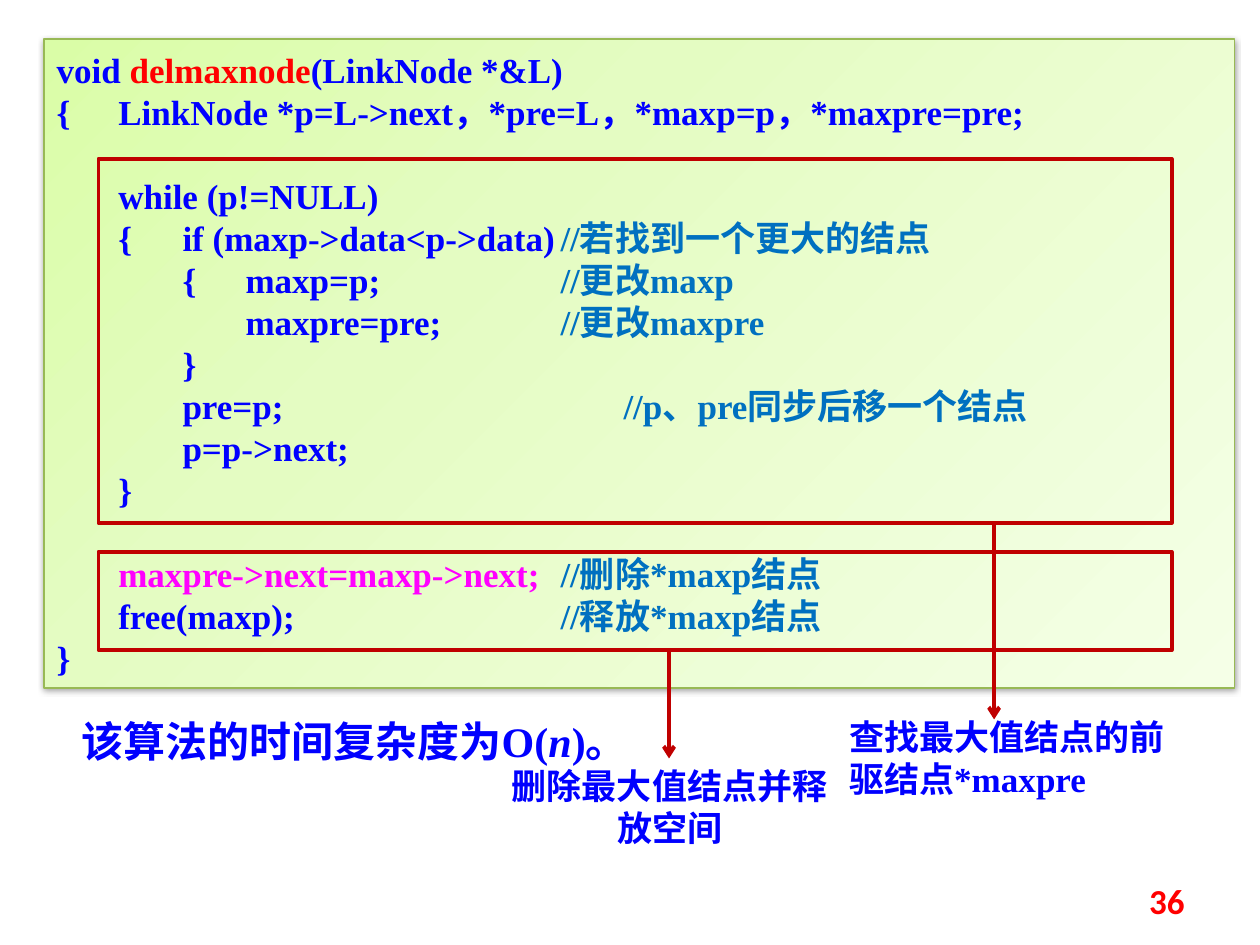
"""Build the slide that explains the delmaxnode linked-list algorithm."""
from lxml import etree
from pptx import Presentation, util as u
from pptx.dml.color import RGBColor
from pptx.enum import shapes, text
from pptx.oxml import parse_xml
from pptx.oxml.ns import nsdecls, qn

COLORS = {"code": "0000FF", "name": "FF0000", "note": "0070C0", "key": "FF00FF",
          "frame": "C00000", "border": "98B955"}
GRADIENT = [(0, "DAFDA7"), (35, "E4FCC2"), (100, "F5FFE7")]
TAB_STOPS = (0.49, 1, 1.5, 4)
LINE_HEIGHT = u.Pt(24)

CODE_BLOCKS = [
    [
        [("void ", "code"), ("delmaxnode", "name"), ("(LinkNode *&L)", "code")],
        [("{\tLinkNode *p=L->next，*pre=L，*maxp=p，*maxpre=pre;", "code")],
    ],
    [
        [("\twhile (p!=NULL)", "code")],
        [("\t{\tif (maxp->data<p->data)\t", "code"), ("//若找到一个更大的结点", "note")],
        [("\t\t{\tmaxp=p;\t", "code"), ("//更改maxp", "note")],
        [("\t\t\tmaxpre=pre;\t", "code"), ("//更改maxpre", "note")],
        [("\t\t}", "code")],
        [("\t\tpre=p;\t\t", "code"), ("//p、pre同步后移一个结点", "note")],
        [("\t\tp=p->next;", "code")],
        [("\t}", "code")],
    ],
    [
        [("\tmaxpre->next=maxp->next;\t", "key"), ("//删除*maxp结点", "note")],
        [("\tfree(maxp);\t", "code"), ("//释放*maxp结点", "note")],
        [("}", "code")],
    ],
]
CODE_AREA = (0.35, 0.31, 9.45, 5.15)
COMPLEXITY = [("该算法的时间复杂度为O(", {}), ("n", {"italic": True}), (")。", {})]
STEPS = [
    {"frame": (0.78, 1.26, 8.52, 2.89), "arrow": (7.89, 4.15, 5.71),
     "label": (6.64, 5.63, 2.73, 0.77), "text": "查找最大值结点的前驱结点*maxpre",
     "align": text.PP_ALIGN.LEFT},
    {"frame": (0.78, 4.38, 8.52, 0.78), "arrow": (5.31, 5.16, 6.02),
     "label": (3.95, 6.02, 2.73, 0.77), "text": "删除最大值结点并释放空间",
     "align": text.PP_ALIGN.CENTER},
]


def inches(values):
    """Convert numbers to lengths."""
    return [u.Inches(value) for value in values]


def add_span(para, words, color="code", **changes):
    """Append one formatted run."""
    span = para.add_run()
    span.text = words
    style = {"name": "Times New Roman", "size": u.Pt(20), "bold": True, **changes}
    for key, value in style.items():
        setattr(span.font, key, value)
    span.font.color.rgb = RGBColor.from_string(COLORS[color])


def add_label(parent, area, align=text.PP_ALIGN.LEFT, anchor=text.MSO_ANCHOR.TOP):
    """Add a wrapping text box and return its first paragraph."""
    frame = parent.add_textbox(*inches(area)).text_frame
    frame.word_wrap = True
    frame.vertical_anchor = anchor
    frame.paragraphs[0].alignment = align
    return frame.paragraphs[0]


def set_outline(shape, color, width):
    """Colour and size a line."""
    shape.line.color.rgb = RGBColor.from_string(COLORS[color])
    shape.line.width = u.Pt(width)


def add_code_box(page):
    """Add the shaded panel with the listing."""
    box = page.shapes.add_shape(shapes.MSO_SHAPE.RECTANGLE, *inches(CODE_AREA))
    stops = "".join(f'<a:gs pos="{position * 1000}"><a:srgbClr val="{color}"/></a:gs>'
                    for position, color in GRADIENT)
    properties = box.element.spPr
    properties.append(parse_xml(
        f'<a:gradFill {nsdecls("a")} rotWithShape="1"><a:gsLst>{stops}</a:gsLst>'
        '<a:lin ang="2700000" scaled="0"/></a:gradFill>'))
    set_outline(box, "border", 0.75)
    properties.append(parse_xml(
        f'<a:effectLst {nsdecls("a")}><a:outerShdw blurRad="{u.Pt(3.1)}" dist="{u.Pt(1.6)}" '
        'dir="5400000" rotWithShape="0"><a:srgbClr val="000000"><a:alpha val="38000"/>'
        '</a:srgbClr></a:outerShdw></a:effectLst>'))
    frame = box.text_frame
    frame.word_wrap = True
    frame.vertical_anchor = text.MSO_ANCHOR.MIDDLE
    for block_index, block in enumerate(CODE_BLOCKS):
        for line_index, spans in enumerate(block):
            first = block_index == line_index == 0
            para = frame.paragraphs[0] if first else frame.add_paragraph()
            para.alignment = text.PP_ALIGN.LEFT
            para.line_spacing = LINE_HEIGHT
            if block_index and line_index == 0:
                para.space_before = LINE_HEIGHT
            tabs = etree.SubElement(para._p.get_or_add_pPr(), qn("a:tabLst"))
            for stop in TAB_STOPS:
                etree.SubElement(tabs, qn("a:tab"), pos=str(u.Inches(stop)), algn="l")
            for words, color in spans:
                add_span(para, words, color)


def add_step(page, step):
    """Group a frame, its arrow and its explanation."""
    group = page.shapes.add_group_shape().shapes
    frame = group.add_shape(shapes.MSO_SHAPE.RECTANGLE, *inches(step["frame"]))
    frame.shadow.inherit = False
    frame.fill.background()
    set_outline(frame, "frame", 2)
    x, top, bottom = inches(step["arrow"])
    arrow = group.add_connector(shapes.MSO_CONNECTOR.STRAIGHT, x, top, x, bottom)
    set_outline(arrow, "frame", 2.25)
    etree.SubElement(arrow.line._get_or_add_ln(), qn("a:tailEnd"), type="arrow")
    etree.SubElement(arrow.element.spPr, qn("a:effectLst"))
    add_span(add_label(group, step["label"], step["align"]), step["text"])


def main():
    """Assemble and save the deck."""
    deck = Presentation()
    deck.slide_width, deck.slide_height = inches((10, 7.5))
    page = deck.slides.add_slide(deck.slide_layouts[6])
    add_code_box(page)
    complexity = add_label(page.shapes, (0.55, 5.63, 5.11, 0.5))
    for words, changes in COMPLEXITY:
        add_span(complexity, words, size=u.Pt(24), **changes)
    for step in STEPS:
        add_step(page, step)
    number = add_label(page.shapes, (7.17, 6.95, 2.33, 0.4),
                       text.PP_ALIGN.RIGHT, text.MSO_ANCHOR.MIDDLE)
    add_span(number, "36", "name", name="Calibri")
    deck.save("out.pptx")


if __name__ == "__main__":
    main()
